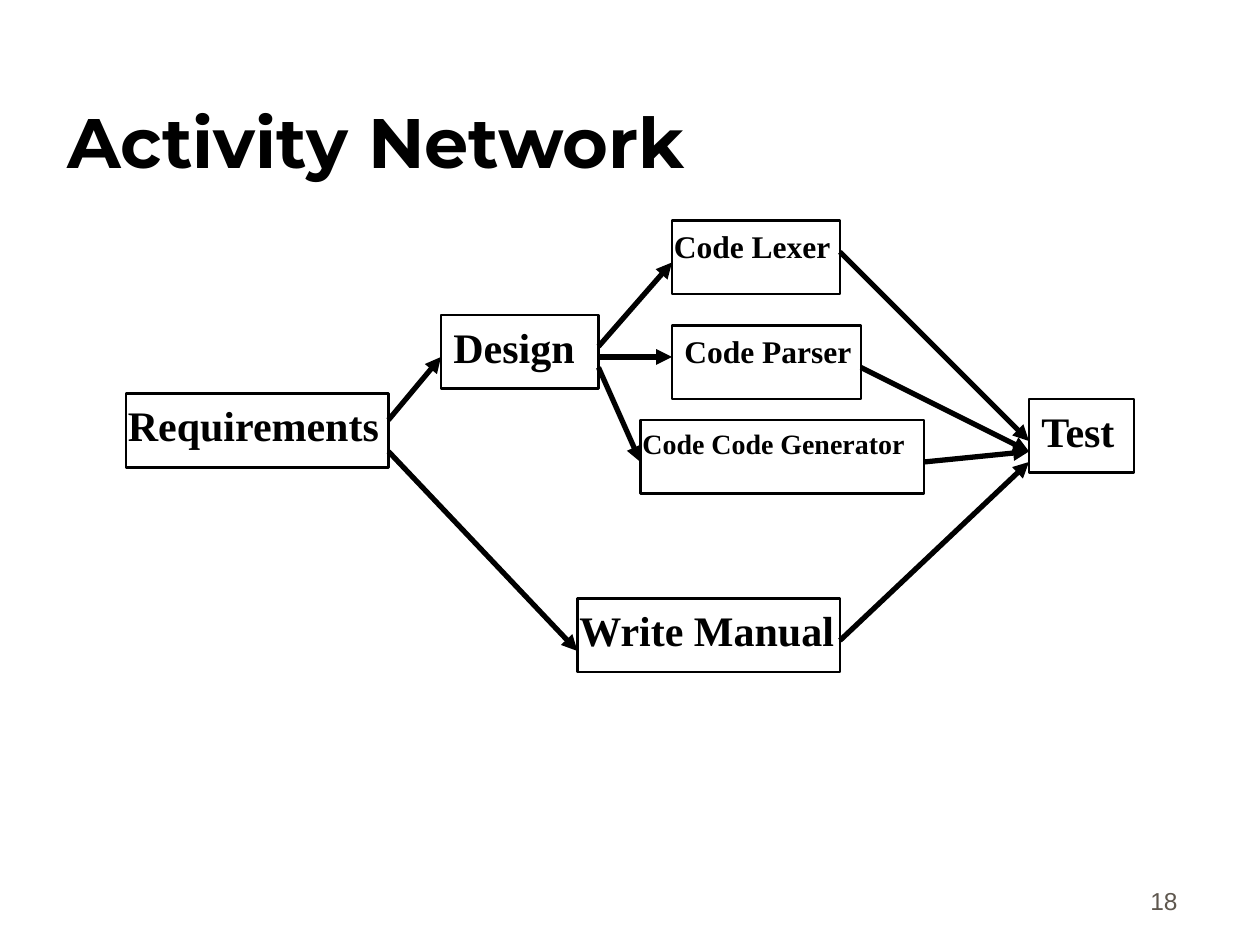
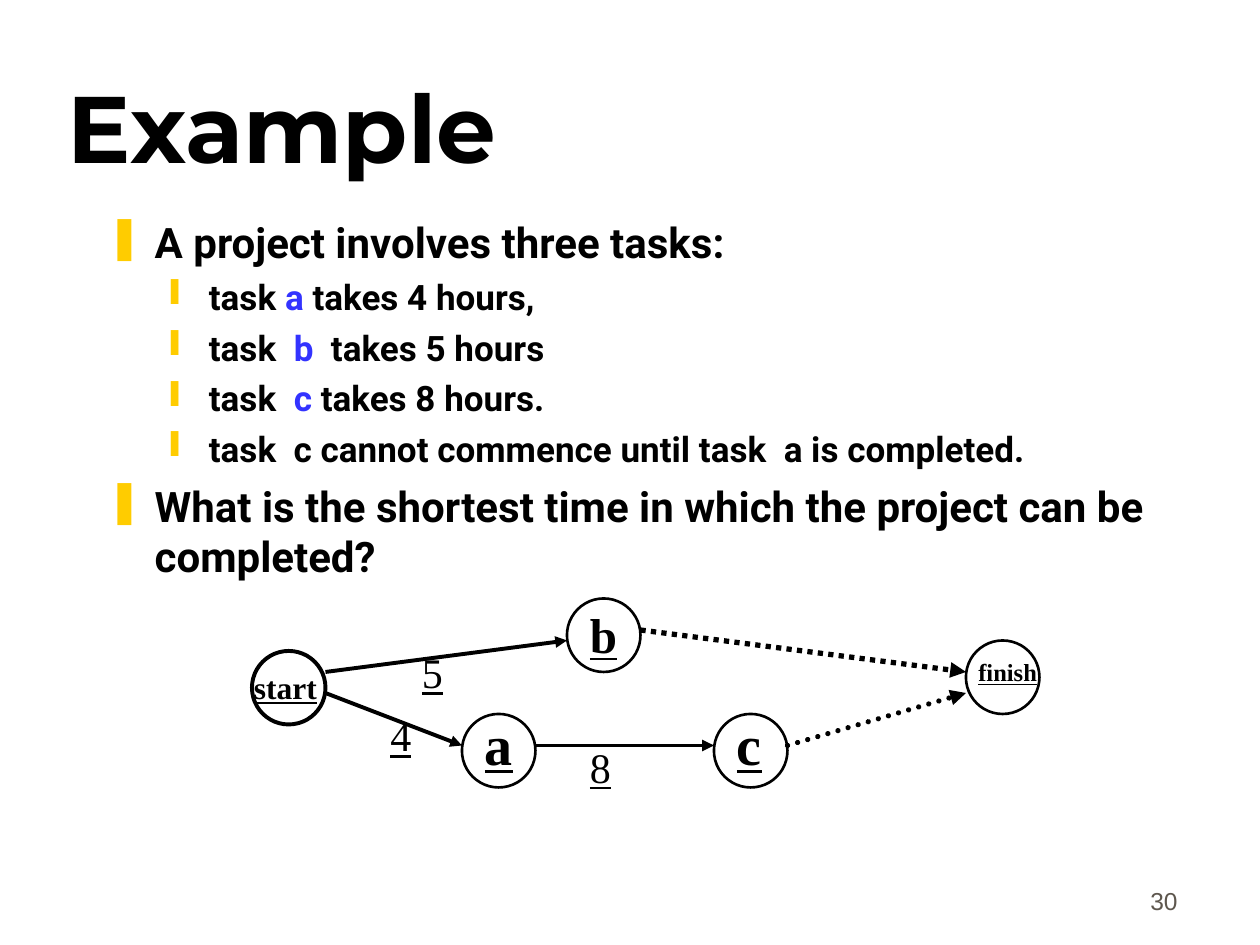
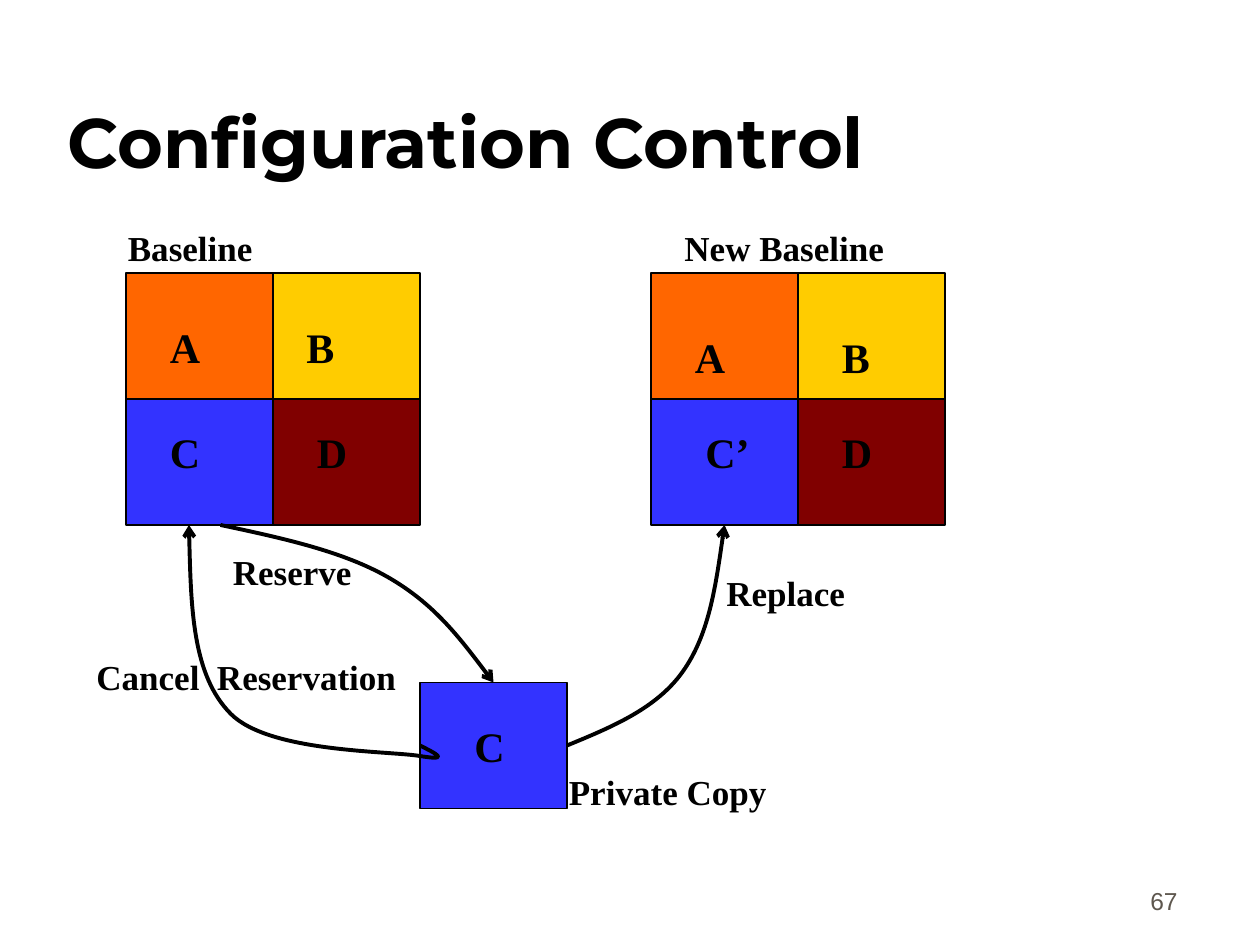
"""Build three project planning slides on a grid of 120 columns by 90 rows."""
from dataclasses import dataclass
from itertools import product
from typing import NamedTuple, Optional

from lxml.etree import SubElement
from pptx import Presentation
from pptx.dml.color import RGBColor
from pptx.enum.dml import MSO_LINE
from pptx.enum.shapes import MSO_CONNECTOR, MSO_SHAPE
from pptx.enum.text import MSO_ANCHOR, MSO_AUTO_SIZE, PP_ALIGN
from pptx.oxml.ns import qn
from pptx.presentation import Presentation as Deck
from pptx.shapes.autoshape import Shape
from pptx.slide import Slide
from pptx.util import Emu, Inches, Pt

WIDTH, HEIGHT = Inches(10), Inches(7.5)
CELL = WIDTH // 120


@dataclass(frozen=True)
class Theme:
    """Hold the shared colours, fonts and type sizes."""
    ink: str = "000000"
    gray: str = "5E574E"
    blue: str = "3333FF"
    gold: str = "FFCC00"
    flame: str = "FF6600"
    wine: str = "800000"
    head: str = "Montserrat"
    body: str = "Roboto"
    serif: str = "Times New Roman"
    sans: str = "Arial"
    huge: int = 54
    title: int = 40
    node: int = 32
    mark: int = 28
    large: int = 24
    mid: int = 20
    small: int = 18
    tight: int = 16
    tiny: int = 14
    lead: float = 0.625


T = Theme()


class Spot(NamedTuple):
    """Give a column and a row."""
    x: float
    y: float


class Area(NamedTuple):
    """Give a left column, top row, width and height."""
    x: float
    y: float
    w: float
    h: float


class Run(NamedTuple):
    """Describe one run of text."""
    text: str
    size: int
    font: str
    color: str = T.ink
    bold: bool = True
    under: bool = False


class Label(NamedTuple):
    """Describe a one-line serif label."""
    x: float
    y: float
    w: float
    text: str
    size: int = T.large
    bold: bool = True
    under: bool = False


class Arrow(NamedTuple):
    """Describe a straight arrow."""
    start: Spot
    end: Spot
    weight: float = 3
    dash: bool = False
    cap: str = "flat"


class Item(NamedTuple):
    """Describe one bulleted line of plain and blue words."""
    level: int
    words: tuple[str, ...]


class Level(NamedTuple):
    """Describe the look of one bullet level."""
    sign: str
    size: int
    left: float
    hang: float
    space: int


LEVELS = (Level("❚", T.large, 0.38, 0.38, 6), Level("❙", T.mid, 0.81, 0.31, 5))


def grid(*spans: float) -> list[Emu]:
    """Turn grid counts into lengths."""
    return [Emu(round(span * CELL)) for span in spans]


def add_run(para, run: Run) -> None:
    """Add one styled run to a paragraph."""
    piece = para.add_run()
    piece.text = run.text
    font = piece.font
    font.name, font.size = run.font, Pt(run.size)
    font.bold, font.underline = run.bold, run.under
    font.color.rgb = RGBColor.from_string(run.color)


def add_text(slide: Slide, area: Area, anchor: MSO_ANCHOR = MSO_ANCHOR.TOP):
    """Add an empty wrapping text frame."""
    frame = slide.shapes.add_textbox(*grid(*area)).text_frame
    frame.word_wrap = True
    frame.vertical_anchor = anchor
    return frame


def add_label(slide: Slide, label: Label) -> None:
    """Draw a label whose height follows its type size."""
    area = Area(label.x, label.y, label.w, label.size / 5 + 1.2)
    frame = add_text(slide, area)
    frame.auto_size = MSO_AUTO_SIZE.SHAPE_TO_FIT_TEXT
    para = frame.paragraphs[0]
    para.space_before = Pt(label.size * T.lead)
    add_run(para, Run(label.text, label.size, T.serif, T.ink, label.bold, label.under))


def add_block(slide: Slide, area: Area, weight: float, fill: Optional[str] = None,
              kind: MSO_SHAPE = MSO_SHAPE.RECTANGLE) -> None:
    """Draw an outlined shape, filled if a colour is given."""
    shape = slide.shapes.add_shape(kind, *grid(*area))
    if fill:
        shape.fill.solid()
        shape.fill.fore_color.rgb = RGBColor.from_string(fill)
    else:
        shape.fill.background()
    set_line(shape, weight)
    shape.shadow.inherit = False


def set_line(shape, weight: float) -> None:
    """Give a shape an ink line."""
    shape.line.width = Pt(weight)
    shape.line.color.rgb = RGBColor.from_string(T.ink)


def set_tip(shape, kind: str, cap: str = "flat") -> None:
    """Put an arrowhead on the end of a line."""
    stroke = shape.element.spPr.find(qn("a:ln"))
    stroke.set("cap", cap)
    SubElement(stroke, qn("a:tailEnd"), type=kind)


def add_arrow(slide: Slide, arrow: Arrow) -> None:
    """Draw a straight arrow."""
    line = slide.shapes.add_connector(MSO_CONNECTOR.STRAIGHT, *grid(*arrow.start, *arrow.end))
    set_line(line, arrow.weight)
    if arrow.dash:
        line.line.dash_style = MSO_LINE.ROUND_DOT
    set_tip(line, "triangle", arrow.cap)
    SubElement(line.element.spPr, qn("a:effectLst"))


def add_curve(slide: Slide, spots: list[Spot]) -> Shape:
    """Draw a curved arrow, with three spots for each bend."""
    first, *rest = [grid(*spot) for spot in spots]
    pen = slide.shapes.build_freeform(*first)
    pen.add_line_segments(rest, close=False)
    curve = pen.convert_to_shape()
    curve.fill.background()
    set_line(curve, 2.25)
    curve.shadow.inherit = False
    set_tip(curve, "arrow")
    route = next(curve.element.iter(qn("a:path")))
    steps = route.findall(qn("a:lnTo"))
    for start in range(0, len(steps), 3):
        bend = SubElement(route, qn("a:cubicBezTo"))
        for step in steps[start:start + 3]:
            bend.append(step[0])
            route.remove(step)
    return curve


def add_item(para, item: Item) -> None:
    """Fill one bulleted paragraph, with every second run blue."""
    level = LEVELS[item.level]
    para.level = item.level
    para.space_before = Pt(level.space)
    props = para._p.get_or_add_pPr()
    props.set("marL", str(Inches(level.left)))
    props.set("indent", str(-Inches(level.hang)))
    SubElement(SubElement(props, qn("a:buClr")), qn("a:srgbClr"), val=T.gold)
    SubElement(props, qn("a:buChar"), char=level.sign)
    for place, text in enumerate(item.words):
        add_run(para, Run(text, level.size, T.body, T.blue if place % 2 else T.ink))


def add_page(deck: Deck, title: str, number: int, size: int = T.title) -> Slide:
    """Add a blank slide with its title and number."""
    slide = deck.slides.add_slide(deck.slide_layouts[6])
    foot = add_text(slide, Area(88.33, 81.75, 25, 6), MSO_ANCHOR.BOTTOM).paragraphs[0]
    foot.alignment = PP_ALIGN.RIGHT
    add_run(foot, Run(str(number), T.tiny, T.sans, T.gray, False))
    head = add_text(slide, Area(5.25, 3, 102, 15), MSO_ANCHOR.BOTTOM).paragraphs[0]
    add_run(head, Run(title, size, T.head))
    return slide


def draw_net(deck: Deck) -> None:
    """Draw the activity network."""
    slide = add_page(deck, "Activity Network", 18)
    for label in (
        Label(63, 21, 18, "Code Lexer", T.small),
        Label(11, 37.5, 26.4, "Requirements"),
        Label(98, 38, 15, "Test"),
        Label(54, 57, 28, "Write Manual"),
        Label(64, 31, 19, "Code Parser", T.small),
        Label(60, 40, 32, "Code Code Generator", T.tight),
        Label(42, 30, 14, "Design"),
    ):
        add_label(slide, label)
    for x, y, wide in ((12, 37.5, 25), (98, 38, 10), (64, 31, 18), (64, 21, 16),
                       (55, 57, 25), (61, 40, 27), (42, 30, 15)):
        add_block(slide, Area(x, y, wide, 7), 1.5)
    for start, end in (
        (Spot(37, 43), Spot(55, 62)),
        (Spot(57, 33), Spot(64, 25)),
        (Spot(57, 35), Spot(61, 44)),
        (Spot(82, 35), Spot(98, 43)),
        (Spot(80, 24), Spot(98, 42)),
        (Spot(37, 40), Spot(42, 34)),
        (Spot(57, 34), Spot(64, 34)),
        (Spot(80, 61), Spot(98, 44)),
        (Spot(88, 44), Spot(98, 43)),
    ):
        add_arrow(slide, Arrow(start, end))


def draw_case(deck: Deck) -> None:
    """Draw the three-task example."""
    slide = add_page(deck, "Example", 30, T.huge)
    frame = add_text(slide, Area(9, 20, 102, 54))
    items = (
        Item(0, ("A project involves three tasks:",)),
        Item(1, ("task ", "a", " takes 4 hours,")),
        Item(1, ("task  ", "b", "  takes 5 hours")),
        Item(1, ("task  ", "c", " takes 8 hours.")),
        Item(1, ("task  c cannot commence until task  a is completed.",)),
        Item(0, ("What is the shortest time in which the project can be completed?",)),
    )
    for place, item in enumerate(items):
        add_item(frame.add_paragraph() if place else frame.paragraphs[0], item)
    for x, y, weight in ((24, 62, 2.25), (44, 68, 1.5), (68, 68, 1.5),
                         (54, 57, 1.5), (92, 61, 1.5)):
        add_block(slide, Area(x, y, 7, 7), weight, kind=MSO_SHAPE.OVAL)
    for arrow in (
        Arrow(Spot(31, 66), Spot(44, 71), 2.25),
        Arrow(Spot(51, 71), Spot(68, 71), 2.25),
        Arrow(Spot(75, 71), Spot(92, 66), dash=True, cap="rnd"),
        Arrow(Spot(31, 64), Spot(54, 61), 2.25),
        Arrow(Spot(61, 60), Spot(92, 64), dash=True),
    ):
        add_arrow(slide, arrow)
    for x, y, wide, text, size in (
        (23, 63, 12, "start", T.small),
        (55, 57, 5, "b", T.mark),
        (45, 67, 6, "a", T.node),
        (69, 67, 7, "c", T.node),
        (92, 62, 12, "finish", T.tiny),
    ):
        add_label(slide, Label(x, y, wide, text, size, under=True))
    for x, y, text in ((39, 61, "5"), (36, 67, "4"), (55, 70, "8")):
        add_label(slide, Label(x, y, 8, text, bold=False, under=True))


def draw_swap(deck: Deck) -> None:
    """Draw the change from one baseline to the next."""
    slide = add_page(deck, "Configuration Control", 67)
    wide, high = 14, 12
    fills = (T.flame, T.gold, T.blue, T.wine)
    for left in (12, 62):
        for (row, col), fill in zip(product(range(2), repeat=2), fills):
            add_block(slide, Area(left + col * wide, 26 + row * high, wide, high), 0.75, fill)
    add_block(slide, Area(40, 65, wide, high), 0.75, T.blue)
    for spots in (
        [Spot(21, 50), Spot(26.88, 51.25), Spot(32.67, 52.5), Spot(37, 55),
         Spot(41.33, 57.5), Spot(44.17, 61.25), Spot(47, 65)],
        [Spot(40, 71), Spot(41.5, 71.75), Spot(43, 72.5), Spot(40, 72),
         Spot(37, 71.5), Spot(25.67, 71.67), Spot(22, 68),
         Spot(18.33, 64.33), Spot(18.17, 57.17), Spot(18, 50)],
        [Spot(54, 71), Spot(58.25, 69.25), Spot(62.5, 67.5), Spot(65, 64),
         Spot(67.5, 60.5), Spot(68.25, 55.25), Spot(69, 50)],
    ):
        add_curve(slide, spots)
    for x, y, text in ((15, 30, "A"), (15, 40, "C"), (28, 30, "B"), (29, 40, "D"),
                       (65, 31, "A"), (79, 31, "B"), (66, 40, "C’"), (79, 40, "D"),
                       (44, 68, "C")):
        add_label(slide, Label(x, y, 9, text))
    for x, y, text in (
        (11, 21, "Baseline"),
        (53, 72.83, "Private Copy"),
        (64, 21, "New Baseline"),
        (21, 51.83, "Reserve"),
        (68, 53.83, "Replace"),
        (8, 61.83, "Cancel  Reservation"),
    ):
        add_label(slide, Label(x, y, 38, text, T.mid))


def main() -> None:
    """Build and save the deck."""
    deck = Presentation()
    deck.slide_width, deck.slide_height = WIDTH, HEIGHT
    for draw in (draw_net, draw_case, draw_swap):
        draw(deck)
    deck.save("out.pptx")


if __name__ == "__main__":
    main()
